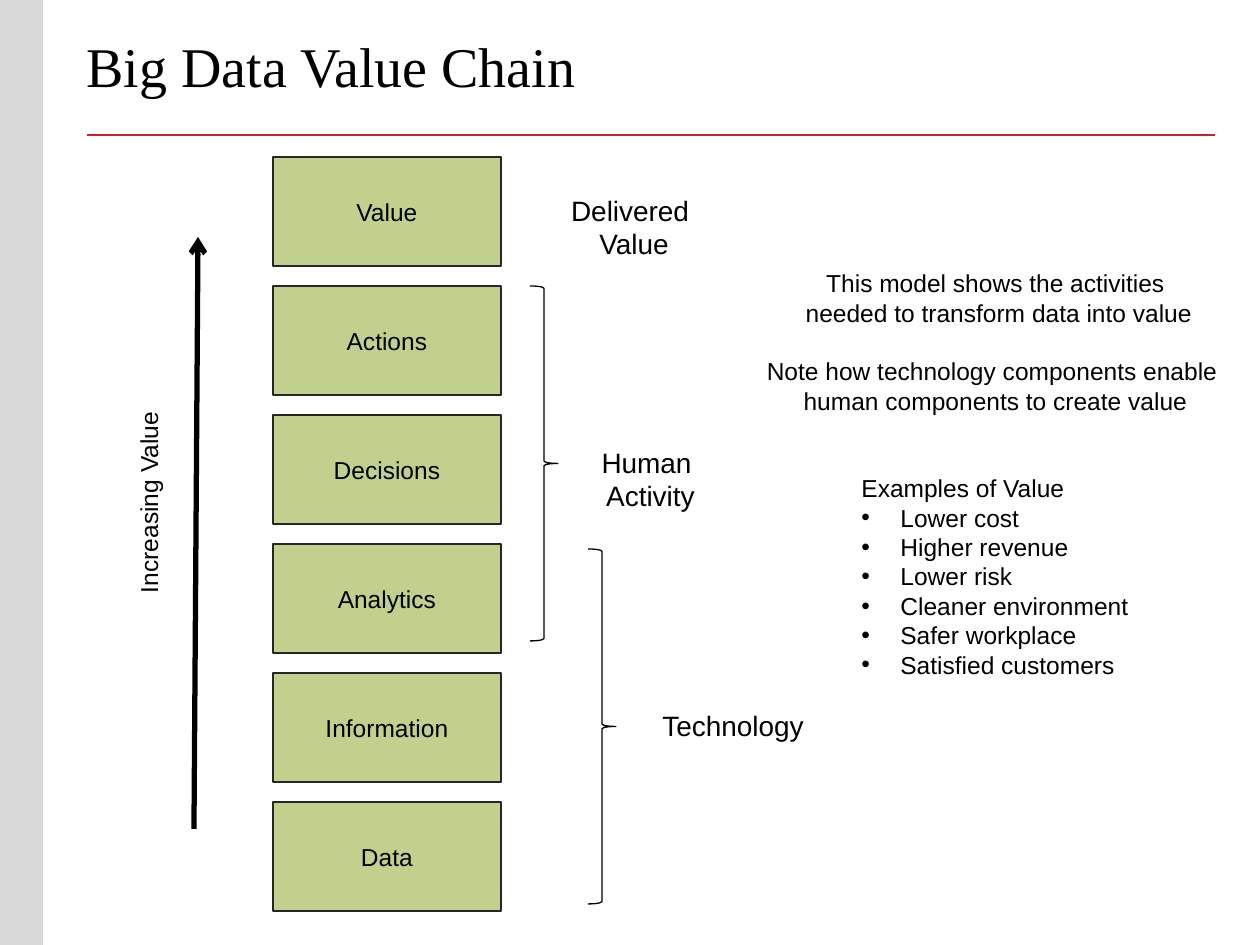
"""Build the Big Data Value Chain slide."""
import lxml.etree
import pptx
import pptx.dml.color
import pptx.enum.shapes
import pptx.enum.text
import pptx.oxml.ns
import pptx.util

SCALE = 914400 / 126
COLORS = {"bar": "D9D9D9", "rule": "D01E2C", "step": "C1D08C", "edge": "262626", "ink": "000000"}
SHAPES = pptx.enum.shapes.MSO_SHAPE
ALIGN = pptx.enum.text.PP_ALIGN
ANCHOR = pptx.enum.text.MSO_ANCHOR
qn = pptx.oxml.ns.qn


def px(*lengths):
    return [round(length * SCALE) for length in lengths]


def write(frame, lines, size, align, font="Arial"):
    for number, line in enumerate(lines):
        para = frame.paragraphs[0] if number == 0 else frame.add_paragraph()
        para.alignment = align
        span = para.add_run()
        span.text = line
        style = {"name": font, "size": pptx.util.Pt(size), "bold": False}
        for name, value in style.items():
            setattr(span.font, name, value)
        span.font.color.rgb = pptx.dml.color.RGBColor.from_string(COLORS["ink"])


deck = pptx.Presentation()
deck.slide_width, deck.slide_height = px(1260, 945)
page = deck.slides.add_slide(deck.slide_layouts[5])

title = page.shapes.title
title.left, title.top, title.width, title.height = px(74, 16, 1155, 158)
title_format = {"vertical_anchor": ANCHOR.TOP, "margin_top": px(15)[0], "word_wrap": True,
                "auto_size": pptx.enum.text.MSO_AUTO_SIZE.NONE}
for name, value in title_format.items():
    setattr(title.text_frame, name, value)
write(title.text_frame, ["Big Data Value Chain"], 32, ALIGN.LEFT, "Times New Roman")

steps = ["Value", "Actions", "Decisions", "Analytics", "Information", "Data"]
blocks = [(SHAPES.RECTANGLE, (0, 0, 43, 945), "bar", None, "")]
blocks += [(SHAPES.RECTANGLE, (273, 157 + 129 * row, 228, 109), "step", "edge", step)
           for row, step in enumerate(steps)]
blocks += [(SHAPES.RIGHT_BRACE, (left, top, 28, 355), None, "ink", "")
           for left, top in [(530, 286), (588, 549)]]
for kind, place, fill, edge, label in blocks:
    shape = page.shapes.add_shape(kind, *px(*place))
    shape.shadow.inherit = False
    if fill:
        shape.fill.solid()
        shape.fill.fore_color.rgb = pptx.dml.color.RGBColor.from_string(COLORS[fill])
    else:
        shape.fill.background()
    if edge:
        shape.line.color.rgb = pptx.dml.color.RGBColor.from_string(COLORS[edge])
        shape.line.width = pptx.util.Pt(0.75)
    else:
        shape.line.fill.background()
    if label:
        shape.text_frame.vertical_anchor = ANCHOR.MIDDLE
        write(shape.text_frame, [label], 14, ALIGN.CENTER)

lines = [((87, 135, 1215, 135), "rule", 1.25, False), ((194, 829, 198, 237), "ink", 3, True)]
for ends, color, width, arrow in lines:
    line = page.shapes.add_connector(pptx.enum.shapes.MSO_CONNECTOR.STRAIGHT, *px(*ends))
    line.line.color.rgb = pptx.dml.color.RGBColor.from_string(COLORS[color])
    line.line.width = pptx.util.Pt(width)
    properties = line._element.spPr
    if arrow:
        lxml.etree.SubElement(properties.find(qn("a:ln")), qn("a:tailEnd"), type="arrow")
    lxml.etree.SubElement(properties, qn("a:effectLst"))

model = ["This model shows the activities", " needed to transform data into value",
         "Note how technology components enable ", "human components to create value"]
examples = ["Examples of Value", "Lower cost", "Higher revenue", "Lower risk",
            "Cleaner environment", "Safer workplace", "Satisfied customers"]
texts = {
    "delivered": ((558, 187, 152, 81), ["Delivered ", "Value"], 16, ALIGN.CENTER),
    "human": ((588, 439, 125, 81), ["Human ", "Activity"], 16, ALIGN.CENTER),
    "technology": ((650, 702, 168, 47), ["Technology"], 16, ALIGN.LEFT),
    "increasing": ((45, 480, 208, 43), ["Increasing Value"], 14, ALIGN.LEFT),
    "model": ((753, 262, 485, 161), model, 14, ALIGN.CENTER),
    "examples": ((849, 467, 294, 229), examples, 14, ALIGN.LEFT),
}
boxes = {}
for key, (place, content, size, align) in texts.items():
    box = boxes[key] = page.shapes.add_textbox(*px(*place))
    box.text_frame.word_wrap = False
    box.text_frame.auto_size = pptx.enum.text.MSO_AUTO_SIZE.SHAPE_TO_FIT_TEXT
    write(box.text_frame, content, size, align)

boxes["increasing"].rotation = 270
boxes["model"].text_frame.paragraphs[2].space_before = pptx.util.Pt(16.8)
indent = px(39)[0]
for para in boxes["examples"].text_frame.paragraphs[1:]:
    properties = para._p.get_or_add_pPr()
    properties.set("marL", str(indent))
    properties.set("indent", str(-indent))
    lxml.etree.SubElement(properties, qn("a:buFont"), typeface="Arial")
    lxml.etree.SubElement(properties, qn("a:buChar"), char="•")

deck.save("out.pptx")
